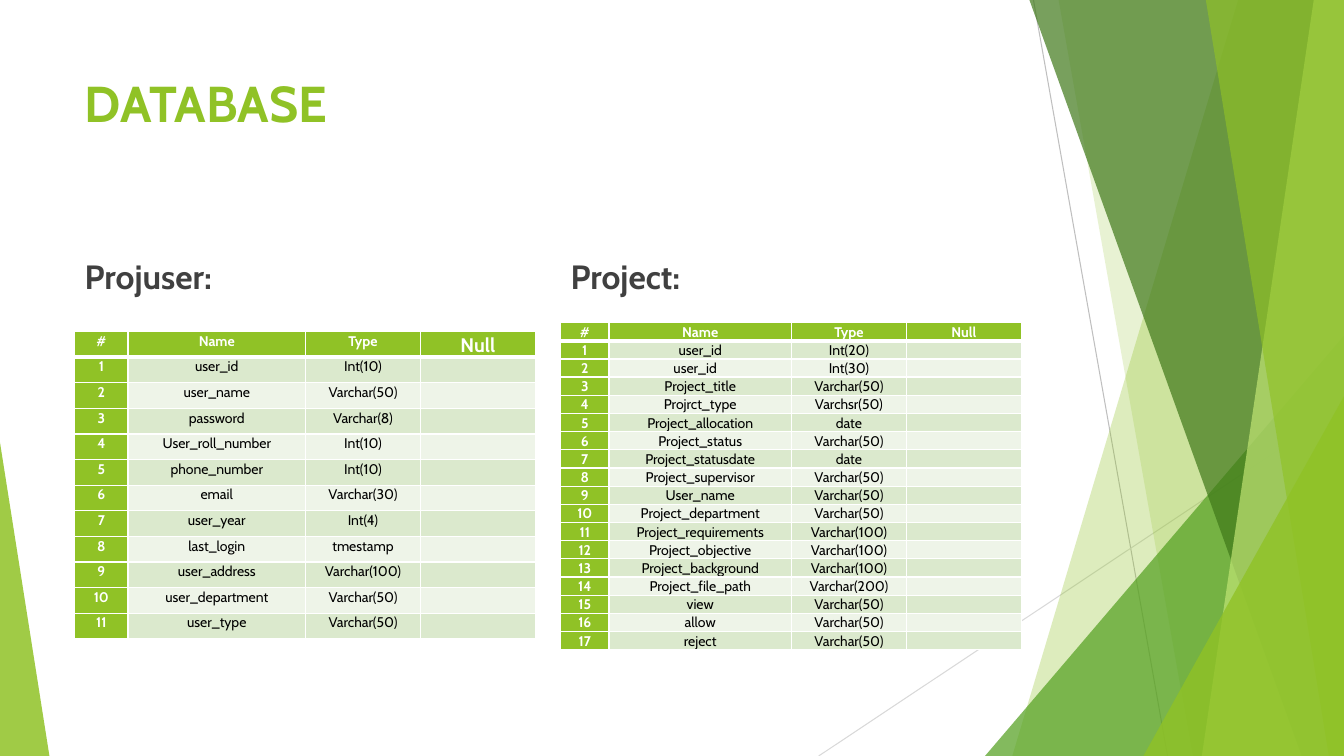
from dataclasses import dataclass

from lxml import etree
from pptx import Presentation, util as u
from pptx.dml.color import RGBColor
from pptx.enum import shapes, text
from pptx.oxml import ns

# Content
TITLE = "DATABASE"
HEADER = ("#", "Name", "Type", "Null")
USER_FIELDS = [
    ("user_id", "Int(10)"),
    ("user_name", "Varchar(50)"),
    ("password", "Varchar(8)"),
    ("User_roll_number", "Int(10)"),
    ("phone_number", "Int(10)"),
    ("email", "Varchar(30)"),
    ("user_year", "Int(4)"),
    ("last_login", "tmestamp"),
    ("user_address", "Varchar(100)"),
    ("user_department", "Varchar(50)"),
    ("user_type", "Varchar(50)"),
]
PROJECT_FIELDS = [
    ("user_id", "Int(20)"),
    ("user_id", "Int(30)"),
    ("Project_title", "Varchar(50)"),
    ("Projrct_type", "Varchsr(50)"),
    ("Project_allocation", "date"),
    ("Project_status", "Varchar(50)"),
    ("Project_statusdate", "date"),
    ("Project_supervisor", "Varchar(50)"),
    ("User_name", "Varchar(50)"),
    ("Project_department", "Varchar(50)"),
    ("Project_requirements", "Varchar(100)"),
    ("Project_objective", "Varchar(100)"),
    ("Project_background", "Varchar(100)"),
    ("Project_file_path", "Varchar(200)"),
    ("view", "Varchar(50)"),
    ("allow", "Varchar(50)"),
    ("reject", "Varchar(50)"),
]
# heading, heading placeholder, fields, table top, row height, column widths
SECTIONS = [
    ("Projuser:", 1, USER_FIELDS, 3.29, 3.05 / 12, (0.53, 1.76, 1.14, 1.14)),
    ("Project:", 3, PROJECT_FIELDS, 3.2, 0.18, (0.48, 1.81, 1.14, 1.14)),
]


@dataclass(frozen=True)
class Theme:
    font: str = "Cabin"
    green: str = "90C226"
    leaf: str = "54A021"
    forest: str = "3F7819"
    lime: str = "C0E474"
    heading: str = "404040"
    white: str = "FFFFFF"
    black: str = "000000"
    bands: tuple = ("EEF4E8", "DBE9CD")
    title_size: int = 36
    heading_size: int = 24
    large_cell_size: int = 14
    cell_size: int = 10


theme = Theme()

# Grid, in inches
WIDTH, HEIGHT = 13.33, 7.5
LEFT, COLUMN, GUTTER = 0.74, 4.58, 0.24

# Backdrop: bands run from top edge to bottom edge and reach the right side
LINES = [((10.25, 0), (11.58, HEIGHT), "BFBFBF"), ((WIDTH, 4.03), (8.12, HEIGHT), "D9D9D9")]
BACKDROP = [  # kind, geometry, colour, opacity in percent
    ("band", (12.28, 10.04), theme.green, 30),
    ("band", (10.5, 11.83), theme.green, 20),
    ("triangle", (9.77, 3.33, WIDTH, 1), theme.leaf, 72),
    ("band", (10.21, 12.91), theme.forest, 70),
    ("band", (13.03, 11.92), theme.lime, 70),
    ("band", (11.96, 13.18), theme.green, 65),
    ("triangle", (11.34, 3.93, WIDTH, 1), theme.green, 80),
    ("triangle", (0, 4.39, 0.49, 0), theme.green, 85),
]

presentation = Presentation()
presentation.slide_width, presentation.slide_height = u.Inches(WIDTH), u.Inches(HEIGHT)
slide = presentation.slides.add_slide(presentation.slide_layouts[4])
placeholders = {item.placeholder_format.idx: item for item in slide.placeholders}


def style(paragraph, size, color, bold):
    font = paragraph.font
    font.name, font.size, font.bold = theme.font, u.Pt(size), bold
    font.color.rgb = RGBColor.from_string(color)


def add_line(start, end, color):
    line = slide.shapes.add_connector(
        shapes.MSO_CONNECTOR.STRAIGHT, *(u.Inches(value) for value in start + end))
    line.line.color.rgb = RGBColor.from_string(color)
    line.line.width = u.Pt(0.75)
    etree.SubElement(line.element.spPr, ns.qn("a:effectLst"))


def add_backdrop(kind, geometry, color, opacity):
    if kind == "band":
        top, bottom = geometry
        points = [(u.Inches(x), u.Inches(y)) for x, y in
                  ((top, 0), (WIDTH, 0), (WIDTH, HEIGHT), (bottom, HEIGHT))]
        builder = slide.shapes.build_freeform(*points[0])
        builder.add_line_segments(points[1:], close=True)
        shape = builder.convert_to_shape()
    else:
        left, top, right, apex = geometry
        shape = slide.shapes.add_shape(
            shapes.MSO_SHAPE.ISOSCELES_TRIANGLE, u.Inches(left), u.Inches(top),
            u.Inches(right - left), u.Inches(HEIGHT - top))
        shape.adjustments[0] = apex
    shape.shadow.inherit = False
    shape.fill.solid()
    shape.fill.fore_color.rgb = RGBColor.from_string(color)
    fill_color = shape.element.spPr.find(".//" + ns.qn("a:srgbClr"))
    etree.SubElement(fill_color, ns.qn("a:alpha"), val=str(opacity * 1000))
    shape.line.fill.background()


def fill_placeholder(index, content, box, size, color, anchor):
    shape = placeholders[index]
    shape.element.getparent().append(shape.element)  # in front of the backdrop
    shape.left, shape.top, shape.width, shape.height = (u.Inches(value) for value in box)
    frame = shape.text_frame
    frame.text = content
    frame.auto_size, frame.vertical_anchor = text.MSO_AUTO_SIZE.NONE, anchor
    paragraph = frame.paragraphs[0]
    paragraph.alignment, paragraph.space_before = text.PP_ALIGN.LEFT, u.Pt(0)
    style(paragraph, size, color, True)


def set_borders(cell, row):
    properties = cell._tc.get_or_add_tcPr()
    widths = {"L": 1, "R": 1, "T": 3 if row == 1 else 1, "B": 3 if row == 0 else 1}
    for side, width in widths.items():
        border = etree.SubElement(properties, ns.qn("a:ln" + side), w=str(u.Pt(width)))
        fill = etree.SubElement(border, ns.qn("a:solidFill"))
        etree.SubElement(fill, ns.qn("a:srgbClr"), val=theme.white)


def format_cell(cell, content, row, column, size):
    accent = row == 0 or column == 0
    set_borders(cell, row)
    cell.fill.solid()
    cell.fill.fore_color.rgb = RGBColor.from_string(theme.green if accent else theme.bands[row % 2])
    cell.margin_left = cell.margin_right = u.Inches(0.05)
    cell.margin_top = cell.margin_bottom = 0
    cell.text = content
    paragraph = cell.text_frame.paragraphs[0]
    paragraph.alignment, paragraph.line_spacing = text.PP_ALIGN.CENTER, 1.07
    style(paragraph, size, theme.white if accent else theme.black, accent)
    if not content:  # keeps empty cells as low as the filled ones
        etree.SubElement(paragraph._p, ns.qn("a:endParaRPr"), sz=str(size * 100))


def add_field_table(fields, left, top, row_height, widths):
    rows = [HEADER] + [(str(number), *field, "") for number, field in enumerate(fields, 1)]
    table = slide.shapes.add_table(
        len(rows), len(HEADER), u.Inches(left), u.Inches(top),
        u.Inches(COLUMN), u.Inches(row_height * len(rows))).table
    table.horz_banding = False
    for column, width in zip(table.columns, widths):
        column.width = u.Inches(width)
    for row, values in enumerate(rows):
        table.rows[row].height = u.Inches(row_height)
        for column, content in enumerate(values):
            format_cell(table.cell(row, column), content, row, column, theme.cell_size)
    return table


# Backdrop
for line in LINES:
    add_line(*line)
for part in BACKDROP:
    add_backdrop(*part)

# Title, then a heading and a table in each column
fill_placeholder(0, TITLE, (LEFT, 0.67, 2 * COLUMN + GUTTER, 1.44),
                 theme.title_size, theme.green, text.MSO_ANCHOR.TOP)
tables = []
for position, (heading, index, fields, top, row_height, widths) in enumerate(SECTIONS):
    left = LEFT + position * (COLUMN + GUTTER)
    fill_placeholder(index, heading, (left, 2.36, COLUMN, 0.63),
                     theme.heading_size, theme.heading, text.MSO_ANCHOR.BOTTOM)
    tables.append(add_field_table(fields, left, top, row_height, widths))

# Two cells that differ from the rest
user_table, project_table = tables
user_table.cell(0, 3).text_frame.paragraphs[0].font.size = u.Pt(theme.large_cell_size)
second_name = project_table.cell(2, 1)
second_name.text_frame.paragraphs[0].alignment = text.PP_ALIGN.LEFT
second_name.margin_left = u.Inches(0.64)

# The tables take the place of the two content placeholders
for index in (2, 4):
    element = placeholders[index].element
    element.getparent().remove(element)

presentation.save("out.pptx")
